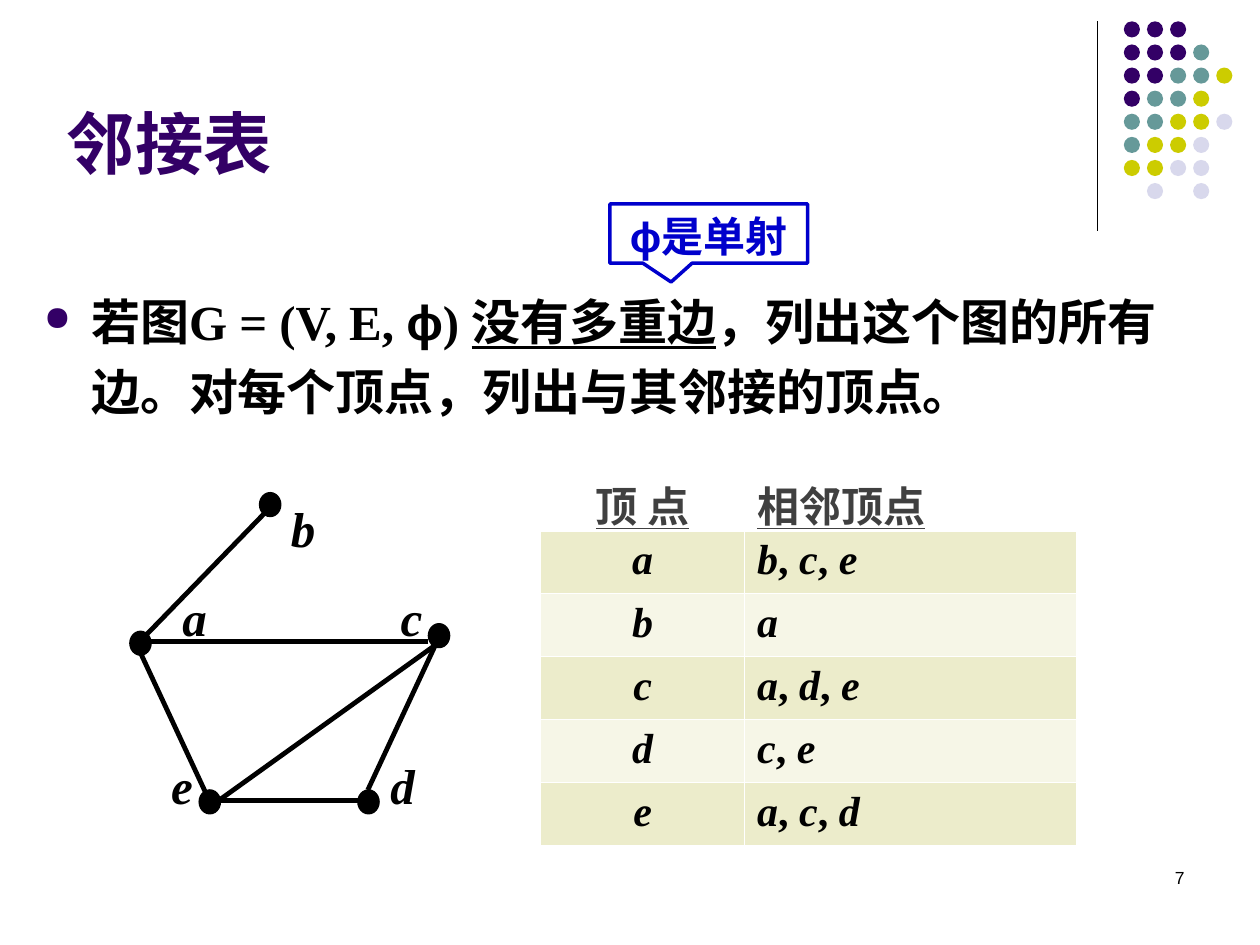
"""Build the adjacency list slide."""
from dataclasses import dataclass
from itertools import groupby

from lxml.etree import SubElement
from pptx import Presentation
from pptx.dml.color import RGBColor
from pptx.enum.shapes import MSO_CONNECTOR as Link, MSO_SHAPE as Form
from pptx.enum.text import MSO_ANCHOR as Anchor, MSO_AUTO_SIZE as Fit, PP_ALIGN as Align
from pptx.oxml.ns import qn
from pptx.util import Pt

SERIF, SANS, HAN = "Times New Roman", "Arial", "Noto Sans CJK SC"
BLACK, WHITE, PLUM, BLUE, GREY = "000000", "FFFFFF", "330066", "0000CC", "404040"
BANDS = ("ECECCB", "F6F6E7")
TINTS = {"P": PLUM, "T": "669999", "Y": "CCCC00", "L": "D8D8EC"}
DOTS = ("PPP", "PPPT", "PPTTY", "PTTY", "TTYYL", "TYYL", "YYLL", " L L")
ROWS = (("a", "b, c, e"), ("b", "a"), ("c", "a, d, e"), ("d", "c, e"), ("e", "a, c, d"))


@dataclass
class Bit:
    text: str
    name: str | None = None
    italic: bool | None = None
    under: bool | None = None


@dataclass
class Node:
    name: str
    x: float
    y: float
    left: float
    top: float


@dataclass
class Edge:
    x1: float
    y1: float
    x2: float
    y2: float


NODES = (
    Node("a", 74.2, 360.7, 97.2, 331.9),
    Node("c", 244.8, 356.4, 221.8, 331.9),
    Node("d", 204.5, 451.4, 216, 428.4),
    Node("e", 113.8, 451.4, 90.7, 428.4),
    Node("b", 148.3, 281.5, 159.1, 281.5),
)
EDGES = (
    Edge(83.5, 362.9, 157, 287.3),
    Edge(249.8, 367.9, 125.3, 457.2),
    Edge(249.8, 366.5, 210.2, 451.4),
    Edge(244.8, 366.5, 79.9, 366.5),
    Edge(79.9, 372.2, 119.5, 457.2),
    Edge(210.2, 457.2, 119.5, 457.2),
)


def tint(code: str) -> RGBColor:
    return RGBColor.from_string(code)


def write(para, bits: list[Bit], size: float, color: str = BLACK, name: str = SERIF,
          bold: bool = True, align=Align.LEFT) -> None:
    para.alignment = align
    font = para.font
    font.size, font.bold, font.name = Pt(size), bold, name
    font.color.rgb = tint(color)
    SubElement(font._rPr, qn("a:ea"), typeface=HAN)
    for bit in bits:
        run = para.add_run()
        run.text = bit.text
        if bit.name:
            run.font.name = bit.name
        if bit.italic is not None:
            run.font.italic = bit.italic
        if bit.under is not None:
            run.font.underline = bit.under


def box(slide, x: float, y: float, w: float, h: float):
    frame = slide.shapes.add_textbox(Pt(x), Pt(y), Pt(w), Pt(h)).text_frame
    frame.word_wrap = True
    return frame.paragraphs[0]


def line(slide, edge: Edge, width: float) -> None:
    wire = slide.shapes.add_connector(
        Link.STRAIGHT, Pt(edge.x1), Pt(edge.y1), Pt(edge.x2), Pt(edge.y2))
    wire.line.color.rgb = tint(BLACK)
    wire.line.width = Pt(width)
    SubElement(wire._element.spPr, qn("a:effectLst"))


def disc(slide, x: float, y: float, w: float, h: float, color: str, edge: float = 0) -> None:
    dot = slide.shapes.add_shape(Form.OVAL, Pt(x), Pt(y), Pt(w), Pt(h))
    dot.shadow.inherit = False
    dot.fill.solid()
    dot.fill.fore_color.rgb = tint(color)
    if edge:
        dot.line.color.rgb = tint(color)
        dot.line.width = Pt(edge)
    else:
        dot.line.fill.background()


def motif(slide) -> None:
    line(slide, Edge(627.1, 12.2, 627.1, 131.8), 0.75)
    for row, marks in enumerate(DOTS):
        for col, mark in enumerate(marks):
            if mark in TINTS:
                disc(slide, 642.2 + 13.2 * col, 12.2 + 13.2 * row, 9.2, 9.2, TINTS[mark])


def head(slide) -> None:
    title = slide.shapes.title
    title.left, title.top, title.width, title.height = Pt(31), Pt(43.2), Pt(671.8), Pt(64.8)
    frame = title.text_frame
    frame.vertical_anchor, frame.auto_size = Anchor.BOTTOM, Fit.NONE
    write(frame.paragraphs[0], [Bit("邻接表")], 39, PLUM, HAN)


def body(slide) -> None:
    para = box(slide, 18, 156.2, 671, 102.2)
    props = para._p.get_or_add_pPr()
    props.set("marL", str(Pt(27)))
    props.set("indent", str(Pt(-27)))
    SubElement(SubElement(props, qn("a:buClr")), qn("a:srgbClr"), val=PLUM)
    SubElement(props, qn("a:buSzPct"), val="70000")
    SubElement(props, qn("a:buChar"), char="●")
    para.line_spacing = 1.2
    write(para, [Bit("若图G = (V, E, "), Bit("ϕ", SANS), Bit(") "), Bit("没有多重边", under=True),
                 Bit("，列出这个图的所有边。对每个顶点，列出与其邻接的顶点。")], 28)


def note(slide) -> None:
    shape = slide.shapes.add_shape(
        Form.RECTANGULAR_CALLOUT, Pt(348.5), Pt(116.6), Pt(113), Pt(33.8))
    shape.adjustments[0], shape.adjustments[1] = -0.19, 0.82
    shape.shadow.inherit = False
    shape.fill.background()
    shape.line.color.rgb = tint(BLUE)
    shape.line.width = Pt(2)
    frame = shape.text_frame
    frame.word_wrap, frame.vertical_anchor = False, Anchor.TOP
    write(frame.paragraphs[0], [Bit("ϕ", SANS), Bit("是单射")], 24, BLUE, align=Align.CENTER)


def rule(cell, top: float, base: float) -> None:
    props = cell._tc.get_or_add_tcPr()
    for side, width in (("L", 0.45), ("R", 0.45), ("T", top), ("B", base)):
        edge = SubElement(props, qn("a:ln" + side), w=str(Pt(width)))
        SubElement(SubElement(edge, qn("a:solidFill")), qn("a:srgbClr"), val=WHITE)


def grid(slide) -> None:
    table = slide.shapes.add_table(
        len(ROWS) + 1, 2, Pt(308.9), Pt(267.1), Pt(306), Pt(216)).table
    table.first_row = table.horz_banding = False
    for col, width in zip(table.columns, (116.6, 189.4)):
        col.width = Pt(width)
    for row, texts in enumerate((("顶 点", "相邻顶点"), *ROWS)):
        table.rows[row].height = Pt(36)
        for col, text in enumerate(texts):
            cell = table.cell(row, col)
            para = cell.text_frame.paragraphs[0]
            align = Align.LEFT if col else Align.CENTER
            rule(cell, 1.47 if row == 1 else 0.45, 0.45 if row else 1.47)
            if row:
                cell.fill.solid()
                cell.fill.fore_color.rgb = tint(BANDS[(row - 1) % 2])
                bits = [Bit("".join(part), italic=slant)
                        for slant, part in groupby(text, str.isalpha)]
                write(para, bits, 24, align=align)
            else:
                cell.fill.background()
                write(para, [Bit(text, under=True)], 24, GREY, SANS, align=align)


def graph(slide) -> None:
    for edge in EDGES:
        line(slide, edge, 2.75)
    for node in NODES:
        disc(slide, node.x, node.y, 12.2, 13.7, BLACK, 0.75)
        write(box(slide, node.left, node.top, 28, 41), [Bit(node.name, italic=True)], 28)


def main() -> None:
    deck = Presentation()
    deck.slide_width, deck.slide_height = Pt(720), Pt(540)
    slide = deck.slides.add_slide(deck.slide_layouts[5])
    for draw in (motif, head, body, note, grid, graph):
        draw(slide)
    write(box(slide, 516.2, 491.8, 167.8, 36), [Bit("7")], 10, name=SANS, bold=False,
          align=Align.RIGHT)
    deck.save("out.pptx")


if __name__ == "__main__":
    main()
